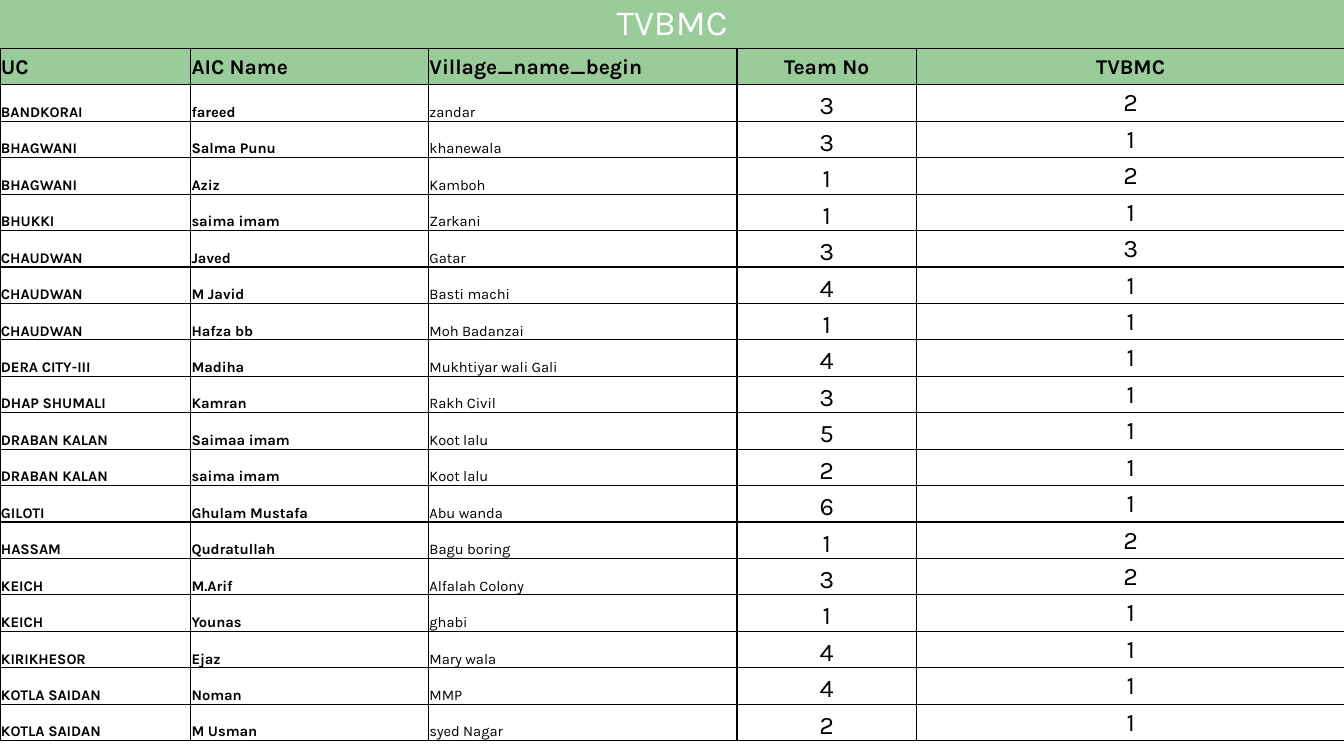
from lxml.etree import SubElement
from pptx import Presentation
from pptx.dml.color import RGBColor
from pptx.enum.shapes import MSO_SHAPE
from pptx.enum.text import MSO_ANCHOR, PP_ALIGN
from pptx.oxml.ns import qn
from pptx.util import Inches, Pt

TITLE = "TVBMC"
HEADER = ("UC", "AIC Name", "Village_name_begin", "Team No", "TVBMC")
TEAMS = [
    ("BANDKORAI", "fareed", "zandar", 3, 2),
    ("BHAGWANI", "Salma Punu", "khanewala", 3, 1),
    ("BHAGWANI", "Aziz", "Kamboh", 1, 2),
    ("BHUKKI", "saima imam", "Zarkani", 1, 1),
    ("CHAUDWAN", "Javed", "Gatar", 3, 3),
    ("CHAUDWAN", "M Javid", "Basti machi", 4, 1),
    ("CHAUDWAN", "Hafza bb", "Moh Badanzai", 1, 1),
    ("DERA CITY-III", "Madiha", "Mukhtiyar wali Gali", 4, 1),
    ("DHAP SHUMALI", "Kamran", "Rakh Civil", 3, 1),
    ("DRABAN KALAN", "Saimaa imam", "Koot lalu", 5, 1),
    ("DRABAN KALAN", "saima imam", "Koot lalu", 2, 1),
    ("GILOTI", "Ghulam Mustafa", "Abu wanda", 6, 1),
    ("HASSAM", "Qudratullah", "Bagu boring", 1, 2),
    ("KEICH", "M.Arif", "Alfalah Colony", 3, 2),
    ("KEICH", "Younas", "ghabi", 1, 1),
    ("KIRIKHESOR", "Ejaz", "Mary wala", 4, 1),
    ("KOTLA SAIDAN", "Noman", "MMP", 4, 1),
    ("KOTLA SAIDAN", "M Usman", "syed Nagar", 2, 1),
]

THEME = {
    "font": "Karla",
    "green": RGBColor(0x99, 0xCC, 0x99),
    "white": RGBColor(255, 255, 255),
    "black": RGBColor(0, 0, 0),
    "title": Pt(25.2), "header": Pt(15), "name": Pt(10.5), "number": Pt(18),
}
SLIDE_W, SLIDE_H = 13.33, 7.5
TITLE_H, TABLE_H = 0.48, 6.87
COL_WIDTHS = (1.89, 2.36, 3.06, 1.78, 4.25)

LEFT, CENTER = PP_ALIGN.LEFT, PP_ALIGN.CENTER
BOTTOM, MIDDLE = MSO_ANCHOR.BOTTOM, MSO_ANCHOR.MIDDLE
# alignment, body anchor, body size, body bold
COLUMNS = (
    (LEFT, BOTTOM, "name", True),
    (LEFT, BOTTOM, "name", True),
    (LEFT, BOTTOM, "name", False),
    (CENTER, BOTTOM, "number", False),
    (CENTER, MIDDLE, "number", False),
)


def set_format(obj, values):
    for name, value in values.items():
        setattr(obj, name, value)


def write(tf, text, size, color, bold, align):
    p = tf.paragraphs[0]
    p.alignment = align
    r = p.add_run()
    r.text = str(text)
    set_format(r.font, {"name": THEME["font"], "size": THEME[size], "bold": bold})
    r.font.color.rgb = THEME[color]
    return p


def add_borders(cell):
    tc_pr = cell._tc.get_or_add_tcPr()
    for side in ("a:lnL", "a:lnR", "a:lnT", "a:lnB"):
        ln = SubElement(tc_pr, qn(side), w=str(Pt(1)))
        fill = SubElement(ln, qn("a:solidFill"))
        SubElement(fill, qn("a:srgbClr"), val=str(THEME["black"]))


def add_title(s):
    sp = s.shapes.add_shape(MSO_SHAPE.RECTANGLE, 0, 0, Inches(SLIDE_W), Inches(TITLE_H))
    sp.shadow.inherit = False
    sp.fill.solid()
    sp.fill.fore_color.rgb = THEME["green"]
    sp.line.fill.background()
    tf = sp.text_frame
    set_format(tf, {"word_wrap": True, "vertical_anchor": MIDDLE,
                    "margin_top": 0, "margin_bottom": 0})
    write(tf, TITLE, "title", "white", False, CENTER).line_spacing = 0.9


def add_team_table(s):
    rows = [HEADER, *TEAMS]
    table = s.shapes.add_table(len(rows), len(HEADER), 0, Inches(TITLE_H),
                               Inches(SLIDE_W), Inches(TABLE_H)).table
    set_format(table, {"first_row": False, "horz_banding": False})
    for col, width in zip(table.columns, COL_WIDTHS):
        col.width = Inches(width)
    for row in table.rows:
        row.height = Inches(TABLE_H / len(rows))
    for i, values in enumerate(rows):
        for j, (text, (align, anchor, size, bold)) in enumerate(zip(values, COLUMNS)):
            cell = table.cell(i, j)
            add_borders(cell)
            if i == 0:
                anchor, size, bold = MIDDLE, "header", True
                cell.fill.solid()
                cell.fill.fore_color.rgb = THEME["green"]
            else:
                cell.fill.background()
            set_format(cell, {"vertical_anchor": anchor, "margin_left": Inches(0.01),
                              "margin_right": Inches(0.01),
                              "margin_top": Inches(0.01), "margin_bottom": 0})
            write(cell.text_frame, text, size, "black", bold, align)


def main():
    prs = Presentation()
    set_format(prs, {"slide_width": Inches(SLIDE_W), "slide_height": Inches(SLIDE_H)})
    s = prs.slides.add_slide(prs.slide_layouts[6])
    add_title(s)
    add_team_table(s)
    prs.save("out.pptx")


if __name__ == "__main__":
    main()
